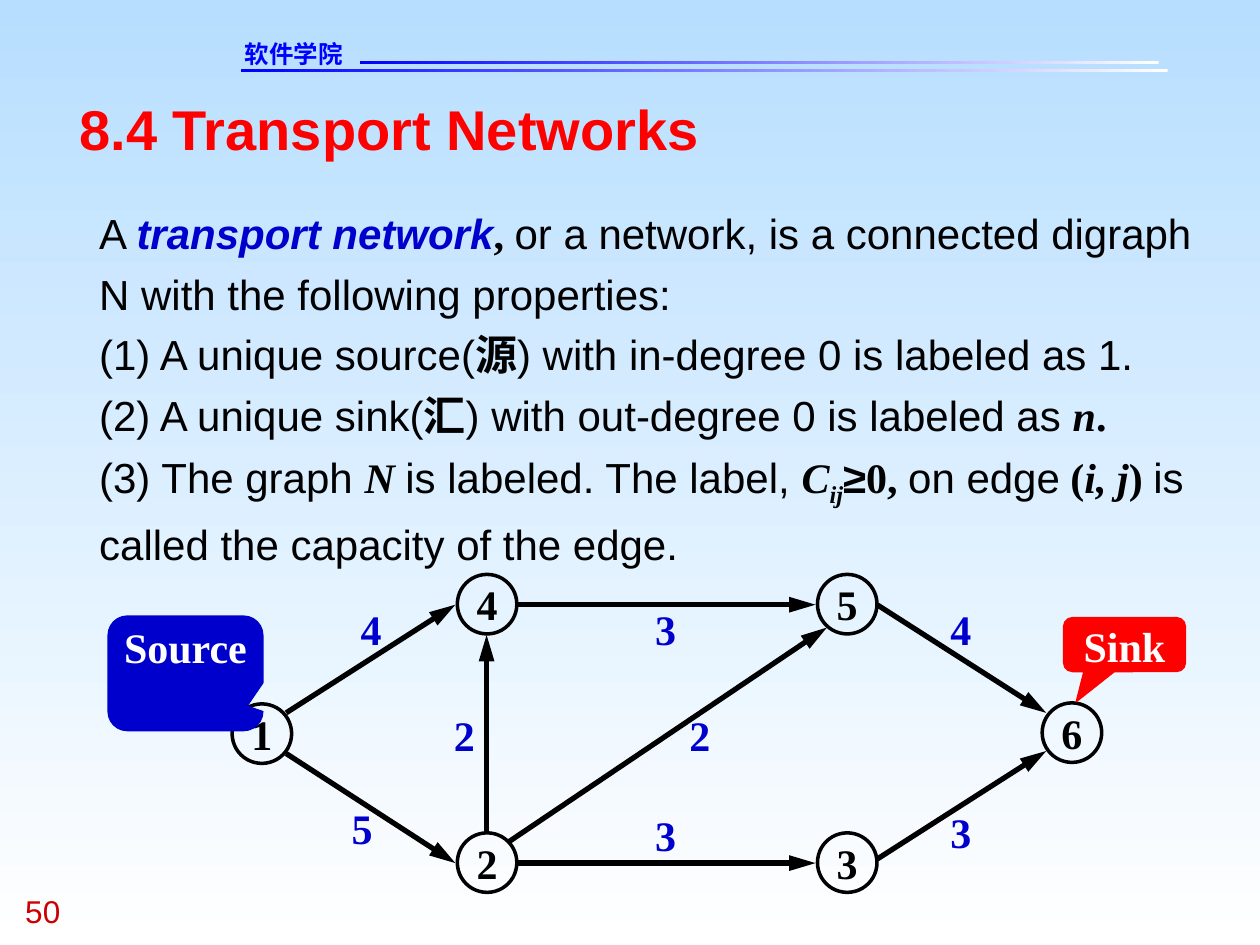
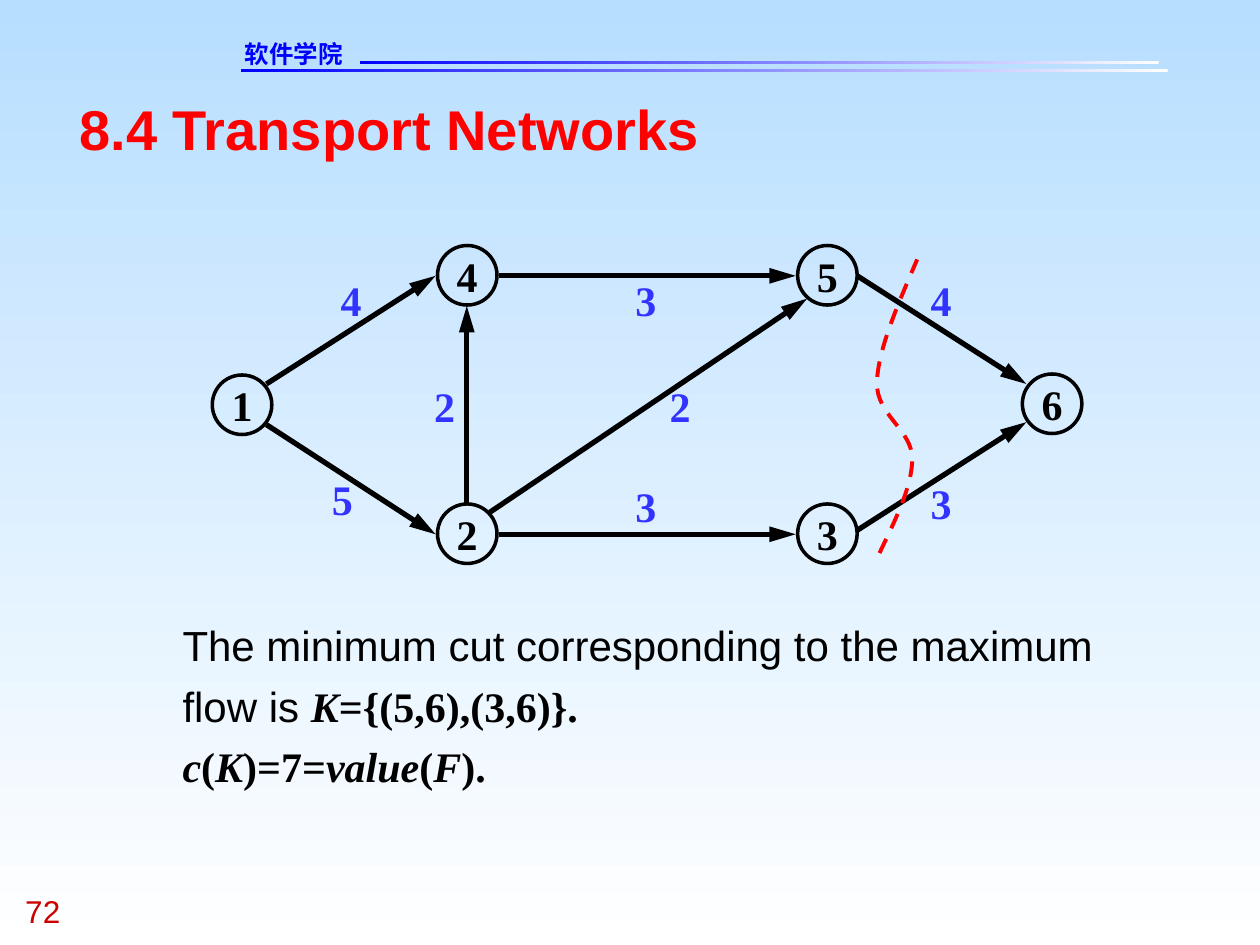
"""Build two slides on transport networks and their minimum cut."""
from dataclasses import dataclass
from typing import NamedTuple

from lxml import etree
from pptx import Presentation
from pptx.dml.color import RGBColor
from pptx.enum.dml import MSO_LINE
from pptx.enum.shapes import MSO_CONNECTOR, MSO_SHAPE as Preset
from pptx.enum.text import MSO_ANCHOR as Anchor, MSO_AUTO_SIZE, PP_ALIGN as Align
from pptx.oxml.ns import qn
from pptx.util import Cm, Pt

SKY = RGBColor(0xB7, 0xDE, 0xFF)
WHITE = RGBColor(0xFF, 0xFF, 0xFF)
BLACK = RGBColor(0, 0, 0)
BLUE = RGBColor(0, 0, 0xFF)
NAVY = RGBColor(0, 0, 0xCC)
VIOLET = RGBColor(0x33, 0x33, 0xFF)
RED = RGBColor(0xFF, 0, 0)
DARK_RED = RGBColor(0xCC, 0, 0)

SANS, SERIF, HEADER_FONT = "Arial", "Times New Roman", "DejaVu Sans"
NODE_SIZE = 1.2


class Box(NamedTuple):
    left: float
    top: float
    width: float
    height: float

    def lengths(self) -> list:
        """Return the box in slide lengths."""
        return [Cm(value) for value in self]


class Point(NamedTuple):
    x: float
    y: float


@dataclass(frozen=True)
class Span:
    text: str
    font: str = SANS
    bold: bool = False
    italic: bool = False
    color: RGBColor = BLACK
    size: float = 24
    subscript: bool = False


@dataclass(frozen=True)
class Edge:
    start: Point
    end: Point
    capacity: str
    label: Point


@dataclass(frozen=True)
class Callout:
    name: str
    box: Box
    color: RGBColor
    adjustments: tuple


def serif(text: str, italic: bool = False, color: RGBColor = BLACK,
          subscript: bool = False) -> Span:
    """Return a bold serif span."""
    return Span(text, SERIF, True, italic, color, subscript=subscript)


BANDS = [Box(4.85, 1.4, 18.69, 0.06), Box(7.26, 1.23, 16.1, 0.06)]
HEADER_BOX = Box(4.93, 0.79, 3.68, 0.58)
TITLE_BOX = Box(1.6, 1.9, 22.23, 1.35)
NUMBER_BOX = Box(0.51, 17.98, 1.9, 0.76)

NODES = {
    "1": Point(0, 2.61), "2": Point(4.54, 5.21), "3": Point(11.8, 5.21),
    "4": Point(4.54, 0), "5": Point(11.8, 0), "6": Point(16.33, 2.59),
}
EDGES = [
    Edge(Point(1.09, 2.79), Point(4.5, 0.61), "4", Point(2.59, 0.58)),
    Edge(Point(1.09, 3.61), Point(4.5, 5.82), "5", Point(2.41, 4.6)),
    Edge(Point(5.13, 5.23), Point(5.13, 1.22), "2", Point(4.47, 2.72)),
    Edge(Point(5.59, 5.38), Point(11.99, 1.07), "2", Point(9.22, 2.72)),
    Edge(Point(5.77, 0.61), Point(11.76, 0.61), "3", Point(8.53, 0.58)),
    Edge(Point(5.77, 5.82), Point(11.76, 5.82), "3", Point(8.53, 4.74)),
    Edge(Point(13, 0.61), Point(16.41, 2.79), "4", Point(14.48, 0.58)),
    Edge(Point(13, 5.74), Point(16.41, 3.56), "3", Point(14.48, 4.67)),
]
CALLOUTS = [
    Callout("Source", Box(2.18, 12.42, 3.12, 2.31), NAVY, (0.398, 0.286, 0.167)),
    Callout("Sink", Box(21.44, 12.45, 2.46, 1.09), RED, (-0.396, 1.059, 0.167)),
]
MINIMUM_CUT = [
    Point(17.73, 11.15),
    Point(18.06, 10.46), Point(18.39, 9.8), Point(18.39, 9.25),
    Point(18.39, 8.66), Point(17.65, 8.36), Point(17.68, 7.7),
    Point(17.7, 7.04), Point(18.11, 6.12), Point(18.49, 5.23),
]

DEFINITION = [
    [Span("A "), Span("transport network", bold=True, italic=True, color=NAVY),
     serif(", "),
     Span("or a network, is a connected digraph N with the following properties:")],
    [Span("(1) A unique source("), Span("源", bold=True),
     Span(") with in-degree 0 is labeled as 1.")],
    [Span("(2) A unique sink("), Span("汇", bold=True),
     Span(") with out-degree 0 is labeled as "), serif("n", True), serif(".")],
    [Span("(3) The graph "), serif("N ", True), Span("is labeled. The label, "),
     serif("C", True), serif("ij", True, subscript=True), Span("≥", bold=True),
     serif("0, "), Span("on edge"), serif(" ("), serif("i, j", True), serif(") "),
     Span("is called the capacity of the edge.")],
]
CONCLUSION = [
    [Span("The minimum cut corresponding to the maximum flow is "),
     serif("K", True), serif("={(5,6),(3,6)}.")],
    [serif("c", True), serif("("), serif("K", True), serif(")=7="),
     serif("value", True), serif("("), serif("F", True), serif(").")],
]


def write(frame, paragraphs: list, align=Align.LEFT, anchor=Anchor.TOP,
          wrap: bool = True, side_margin: float = 0, spacing: float = 1) -> None:
    """Fill a text frame with paragraphs of styled spans."""
    frame.auto_size = MSO_AUTO_SIZE.NONE
    frame.word_wrap = wrap
    frame.vertical_anchor = anchor
    frame.margin_left = frame.margin_right = Cm(side_margin)
    frame.margin_top = frame.margin_bottom = 0
    for index, spans in enumerate(paragraphs):
        paragraph = frame.add_paragraph() if index else frame.paragraphs[0]
        paragraph.alignment = align
        paragraph.line_spacing = spacing
        for span in spans:
            run = paragraph.add_run()
            run.text = span.text
            run.font.name = span.font
            run.font.size = Pt(span.size)
            run.font.bold = span.bold
            run.font.italic = span.italic
            run.font.color.rgb = span.color
            if span.subscript:
                run.font._element.set("baseline", "-25000")


def add_text(slide, box: Box, paragraphs: list, **layout) -> None:
    """Add a text box."""
    write(slide.shapes.add_textbox(*box.lengths()).text_frame, paragraphs, **layout)


def add_preset(slide, preset, box: Box):
    """Add a preset shape without shadow."""
    shape = slide.shapes.add_shape(preset, *box.lengths())
    shape.shadow.inherit = False
    return shape


def set_gradient(fill, first: RGBColor, last: RGBColor, angle: float) -> None:
    """Give a fill a two-colour linear gradient."""
    fill.gradient()
    fill.gradient_angle = angle
    for stop, color in zip(fill.gradient_stops, (first, last)):
        stop.color.rgb = color


def add_page(prs, number: str):
    """Add a slide with its bands, header, title and number."""
    slide = prs.slides.add_slide(prs.slide_layouts[5])
    for box in BANDS:
        band = add_preset(slide, Preset.RECTANGLE, box)
        set_gradient(band.fill, WHITE, BLUE, 180)
        band.line.fill.background()
    add_text(slide, HEADER_BOX,
             [[Span("软件学院", HEADER_FONT, True, color=BLUE, size=14)]])
    add_text(slide, NUMBER_BOX, [[Span(number, color=DARK_RED, size=18)]])
    title = slide.shapes.title
    title.left, title.top, title.width, title.height = TITLE_BOX.lengths()
    write(title.text_frame,
          [[Span("8.4 Transport Networks", bold=True, color=RED, size=32)]])
    return slide


def add_arrow(slide, start: Point, end: Point) -> None:
    """Add a straight arrow."""
    arrow = slide.shapes.add_connector(
        MSO_CONNECTOR.STRAIGHT, *(Cm(value) for value in (*start, *end)))
    arrow.line.color.rgb = BLACK
    arrow.line.width = Pt(3)
    etree.SubElement(arrow.line._get_or_add_ln(), qn("a:tailEnd"),
                     type="triangle", w="med", len="lg")
    etree.SubElement(arrow._element.spPr, qn("a:effectLst"))


def add_network(slide, origin: Point, capacity_color: RGBColor) -> None:
    """Draw the labeled network from its top left corner."""
    def place(point: Point) -> Point:
        """Move a point of the network to its place on the slide."""
        return Point(origin.x + point.x, origin.y + point.y)

    for name, corner in NODES.items():
        node = add_preset(slide, Preset.OVAL, Box(*place(corner), NODE_SIZE, NODE_SIZE))
        node.fill.background()
        node.line.color.rgb = BLACK
        node.line.width = Pt(2)
        write(node.text_frame, [[serif(name)]], Align.CENTER, Anchor.MIDDLE, wrap=False)
    for edge in EDGES:
        add_arrow(slide, place(edge.start), place(edge.end))
        add_text(slide, Box(*place(edge.label), 0.43, 1.02),
                 [[serif(edge.capacity, color=capacity_color)]], wrap=False)


def add_callout(slide, callout: Callout) -> None:
    """Add a speech bubble that names a node."""
    bubble = add_preset(slide, Preset.ROUNDED_RECTANGULAR_CALLOUT, callout.box)
    for index, value in enumerate(callout.adjustments):
        bubble.adjustments[index] = value
    bubble.fill.solid()
    bubble.fill.fore_color.rgb = callout.color
    bubble.line.color.rgb = callout.color
    bubble.line.width = Pt(0.75)
    write(bubble.text_frame, [[serif(callout.name, color=WHITE)]],
          Align.CENTER, side_margin=0.2)


def add_cut(slide, points: list) -> None:
    """Draw a dashed curve from a start and triples of Bézier points."""
    start, *controls = [(Cm(point.x), Cm(point.y)) for point in points]
    builder = slide.shapes.build_freeform(*start)
    builder.add_line_segments(controls, close=False)
    cut = builder.convert_to_shape()
    outline = cut._element.find(".//" + qn("a:path"))
    segments = outline.findall(qn("a:lnTo"))
    for first in range(0, len(segments), 3):
        curve = etree.SubElement(outline, qn("a:cubicBezTo"))
        for segment in segments[first:first + 3]:
            curve.append(segment[0])
            outline.remove(segment)
    cut.shadow.inherit = False
    cut.fill.background()
    cut.line.color.rgb = RED
    cut.line.width = Pt(2.25)
    cut.line.dash_style = MSO_LINE.DASH


def main() -> None:
    """Build and save the presentation."""
    prs = Presentation()
    prs.slide_width, prs.slide_height = Cm(25.4), Cm(19.05)
    set_gradient(prs.slide_master.background.fill, SKY, WHITE, 270)

    definition = add_page(prs, "50")
    add_text(definition, Box(2, 3.99, 22.2, 8.71), DEFINITION, spacing=1.2)
    add_network(definition, Point(4.68, 11.58), NAVY)
    for callout in CALLOUTS:
        add_callout(definition, callout)

    minimum_cut = add_page(prs, "72")
    add_text(minimum_cut, Box(3.68, 12.29, 19.33, 3.66), CONCLUSION, spacing=1.2)
    add_network(minimum_cut, Point(4.28, 4.95), VIOLET)
    add_cut(minimum_cut, MINIMUM_CUT)

    prs.save("out.pptx")


if __name__ == "__main__":
    main()
